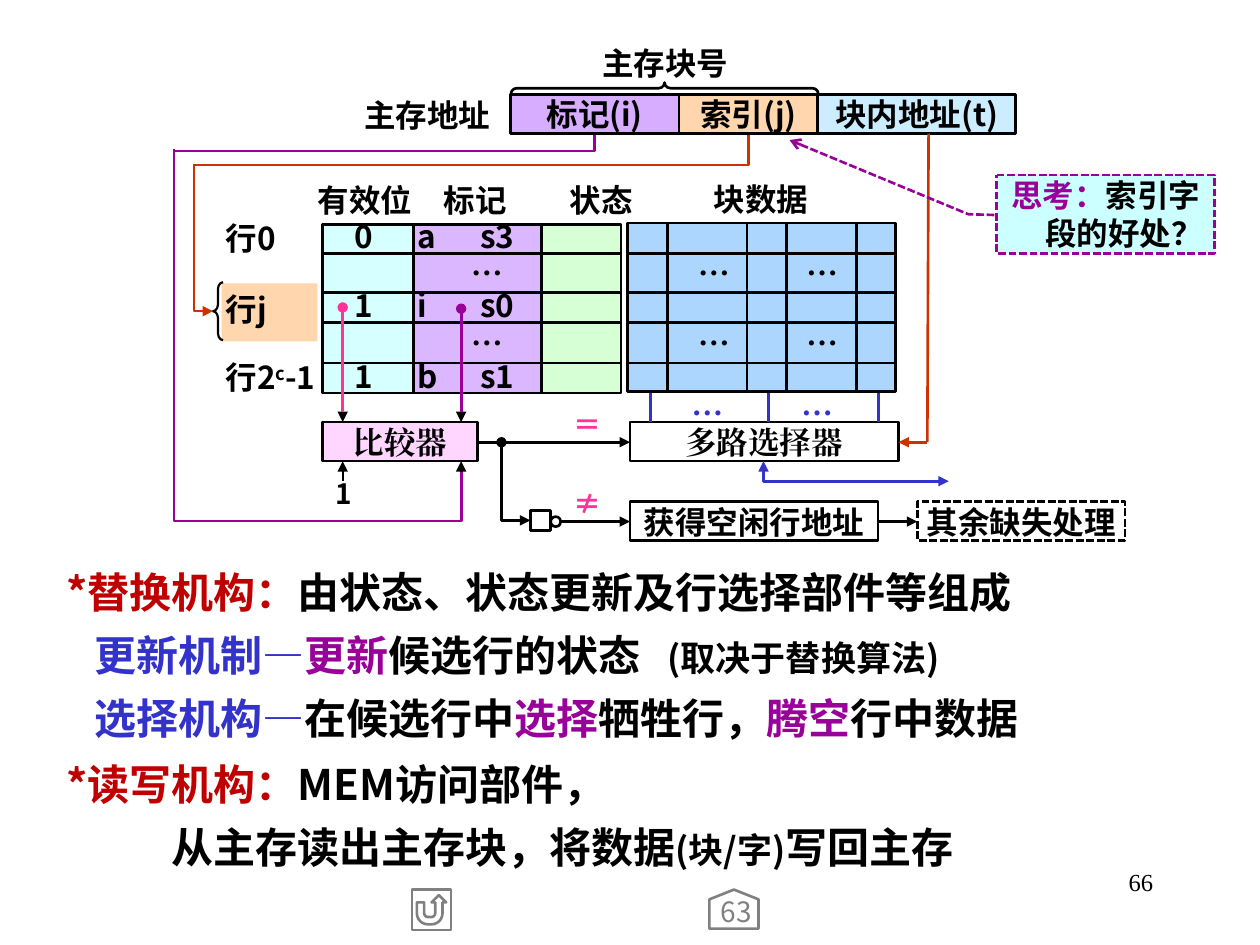
from lxml import etree
from pptx import Presentation
from pptx import util as u
from pptx.dml.color import RGBColor
from pptx.enum import dml, shapes, text
from pptx.oxml.ns import qn

BLACK = RGBColor(0x00, 0x00, 0x00)
GRAY = RGBColor(0x80, 0x80, 0x80)
PURPLE = RGBColor(0x99, 0x00, 0x99)
PINK = RGBColor(0xFF, 0x33, 0x99)
BLUE = RGBColor(0x33, 0x33, 0xCC)
ORANGE = RGBColor(0xCC, 0x33, 0x00)
RED = RGBColor(0xC0, 0x00, 0x00)
PEACH = RGBColor(0xFF, 0xCC, 0x99)
LILAC = RGBColor(0xCC, 0x99, 0xFF)
PALE_BLUE = RGBColor(0xCC, 0xEC, 0xFF)
CYAN = RGBColor(0xCC, 0xFF, 0xFF)
MINT = RGBColor(0xCC, 0xFF, 0xCC)
SKY = RGBColor(0x99, 0xCC, 0xFF)
ROSE = RGBColor(0xFF, 0xCC, 0xFF)

SANS, SERIF = "Noto Sans CJK SC", "Times New Roman"
TIGHT = (0.02, 0.01, 0.02, 0.01)
LEFT, CENTER, RIGHT = text.PP_ALIGN.LEFT, text.PP_ALIGN.CENTER, text.PP_ALIGN.RIGHT
TOP, MIDDLE = text.MSO_ANCHOR.TOP, text.MSO_ANCHOR.MIDDLE
SHAPE = shapes.MSO_SHAPE


def inch(value):
    return u.Cm(value * 2.54)


class Diagram:
    def __init__(self, page, font=SANS, size=18):
        self.page, self.font, self.size = page, font, size

    def stroke(self, item, color, width, head=None, tail=None, dashed=False):
        item.line.color.rgb = color
        item.line.width = u.Pt(width)
        if dashed:
            item.line.dash_style = dml.MSO_LINE.SQUARE_DOT
        line = item._element.spPr.find(qn("a:ln"))
        for tag, kind in (("a:headEnd", head), ("a:tailEnd", tail)):
            if kind:
                etree.SubElement(line, qn(tag)).set("type", kind)

    def put_text(self, box, paras, align=LEFT, anchor=MIDDLE, insets=TIGHT, spacing=None,
                 first=0, margin=0, tabs=()):
        """paras: lists of (text, overrides); first and tabs are in inches."""
        frame = box.text_frame
        frame.word_wrap = True
        frame.vertical_anchor = anchor
        (frame.margin_left, frame.margin_top,
         frame.margin_right, frame.margin_bottom) = map(inch, insets)
        for number, spans in enumerate(paras):
            para = frame.add_paragraph() if number else frame.paragraphs[0]
            para.alignment = align
            if spacing:
                para.line_spacing = spacing
            props = para._p.get_or_add_pPr()
            start = first[number] if isinstance(first, list) else first
            props.set("marL", str(inch(margin)))
            props.set("indent", str(inch(start)))
            if tabs:
                stops = etree.SubElement(props, qn("a:tabLst"))
                for stop in tabs:
                    etree.SubElement(stops, qn("a:tab"), pos=str(inch(stop)), algn="l")
            for words, style in spans:
                self.span(para, words, **style)

    def span(self, para, words, color=BLACK, size=None, font=None, bold=True, raised=False):
        span = para.add_run()
        span.text = words
        span.font.name = font or self.font
        span.font.size = u.Pt(size or self.size)
        span.font.bold = bold
        span.font.color.rgb = color
        props = span._r.get_or_add_rPr()
        etree.SubElement(props, qn("a:ea")).set("typeface", font or self.font)
        if raised:
            props.set("baseline", "30000")

    def label(self, at, words, align=LEFT, anchor=MIDDLE, spacing=None, tabs=(),
              insets=TIGHT, **style):
        self.block(at, [[(words, style)]], align=align, anchor=anchor,
                   spacing=spacing, tabs=tabs, insets=insets)

    def block(self, at, paras, **layout):
        self.put_text(self.page.shapes.add_textbox(*map(inch, at)), paras, **layout)

    def shape(self, kind, at, fill=None, alpha=None, line=BLACK, width=1.5, turn=0,
              adjust=(), words=None, font=None, anchor=MIDDLE, tail=None, dashed=False):
        item = self.page.shapes.add_shape(kind, *map(inch, at))
        item.shadow.inherit = False
        item.rotation = turn
        for index, value in enumerate(adjust):
            item.adjustments[index] = value
        if fill is None:
            item.fill.background()
        else:
            item.fill.solid()
            item.fill.fore_color.rgb = fill
            if alpha:
                tint = item._element.spPr.find(".//" + qn("a:srgbClr"))
                etree.SubElement(tint, qn("a:alpha")).set("val", str(alpha * 1000))
        if line is None:
            item.line.fill.background()
        else:
            self.stroke(item, line, width, tail=tail, dashed=dashed)
        if words:
            self.put_text(item, [[(words, {"font": font})]], align=CENTER, anchor=anchor)
        return item

    def line(self, x1, y1, x2, y2, color=BLACK, width=1.5, head=None, tail=None,
             kind=shapes.MSO_CONNECTOR.STRAIGHT):
        item = self.page.shapes.add_connector(kind, *map(inch, (x1, y1, x2, y2)))
        self.stroke(item, color, width, head, tail)
        etree.SubElement(item._element.spPr, qn("a:effectLst"))
        return item

    def elbow(self, x1, y1, x2, y2, color=BLACK, head=None, tail=None, overshoot=None):
        """A bent line that leaves its start downwards."""
        half_w, half_h = (y2 - y1) / 2, abs(x2 - x1) / 2
        mid_x, mid_y = (x1 + x2) / 2, (y1 + y2) / 2
        side = 1 if x2 < x1 else -1
        item = self.line(mid_x - side * half_w, mid_y - half_h,
                         mid_x + side * half_w, mid_y + half_h, color,
                         head=head, tail=tail, kind=shapes.MSO_CONNECTOR.ELBOW)
        props = item._element.spPr
        props.find(qn("a:xfrm")).set("rot", str((90 if side > 0 else 270) * 60000))
        geometry = props.find(qn("a:prstGeom"))
        if overshoot is None:
            geometry.set("prst", "bentConnector2")
        else:
            guides = geometry.find(qn("a:avLst"))
            etree.SubElement(guides, qn("a:gd"), name="adj1",
                             fmla=f"val {round(overshoot * 100000)}")


def draw_address(art):
    art.shape(SHAPE.RECTANGLE, (1.76, 2.25, 0.76, 0.46), PEACH, 80, line=None)
    for left, width, fill, alpha, words in (
            (6.49, 1.57, PALE_BLUE, None, "块内地址(t)"),
            (5.39, 1.1, PEACH, 80, "索引(j)"), (4.05, 1.34, LILAC, 80, "标记(i)")):
        art.shape(SHAPE.RECTANGLE, (left, 0.75, width, 0.31), fill, alpha, words=words)
    art.label((2.87, 0.75, 1.1, 0.32), "主存地址", anchor=TOP)
    art.label((4.69, 0.36, 1.18, 0.32), "主存块号", CENTER, spacing=0.85)
    art.shape(SHAPE.RIGHT_BRACE, (5.23, -0.52, 0.09, 2.44), turn=270, adjust=(0.52, 0.5))
    art.shape(SHAPE.LEFT_BRACE, (1.69, 2.24, 0.08, 0.46), width=1.25, adjust=(0.67, 0.5))
    art.elbow(5.94, 1.07, 1.54, 1.31, ORANGE)
    art.elbow(1.54, 1.3, 1.69, 2.47, ORANGE, tail="triangle")


def draw_cache(art):
    # Row labels and column heads
    art.label((1.77, 1.77, 0.79, 0.24), "行0")
    art.label((1.77, 2.33, 0.79, 0.24), "行j")
    art.block((1.77, 2.88, 0.79, 0.23),
              [[("行2", {}), ("c", {"raised": True}), ("-1", {})]])
    art.label((2.5, 1.46, 2.58, 0.25), "有效位\t标记\t状态", tabs=(0.87, 1.54))
    art.label((5.53, 1.46, 1.02, 0.24), "块数据", CENTER)
    # Tag array and data array
    for left, width, fill, alpha in ((4.3, 0.63, MINT, 80), (2.56, 0.72, CYAN, 80),
                                     (3.28, 1.02, LILAC, 70)):
        art.shape(SHAPE.RECTANGLE, (left, 1.78, width, 1.34), fill, alpha)
    art.shape(SHAPE.RECTANGLE, (4.98, 1.77, 2.13, 1.34), SKY, 80)
    for y in (2.01, 2.32, 2.56, 2.88):
        art.line(2.56, y, 4.92, y)
        art.line(4.98, y, 7.11, y)
    for x in (5.3, 5.93, 6.24, 6.8):
        art.line(x, 1.77, x, 3.11)
    # Contents
    for top, words, stop in ((1.77, "0\ta\ts3", 0.93), (2.32, "1\ti\ts0", 0.85),
                             (2.88, "1\tb\ts1", 0.93)):
        art.label((2.79, top, 2.01, 0.24), words, spacing=0.9, tabs=(0.54, stop))
    for x in (3.72, 5.52, 6.38):
        for y in (1.93, 2.48):
            art.label((x, y, 0.33, 0.31), "…", anchor=TOP, font=SERIF)


def draw_logic(art):
    # Comparator and its inputs
    art.shape(SHAPE.RECTANGLE, (2.56, 3.35, 1.23, 0.31), ROSE, 80, words="比较器", font=SERIF)
    for x, width in ((3.66, 1.75), (2.72, 1.25)):
        art.line(x, 3.19, x, 3.35, width=width, tail="triangle")
        art.line(x, 3.82, x, 3.66, width=width, tail="triangle")
    art.label((2.64, 3.82, 0.21, 0.23), "1", spacing=0.9, size=16)
    art.elbow(4.72, 1.07, 1.38, 1.2, PURPLE)
    art.elbow(1.38, 1.18, 3.66, 3.75, PURPLE, overshoot=1.15)
    art.line(3.66, 2.45, 3.66, 3.27, PURPLE, 1.75, head="oval")
    art.line(2.72, 2.44, 2.72, 3.27, PINK, head="oval")
    # Hit and miss outputs
    art.line(3.79, 3.51, 5, 3.51, tail="triangle")
    art.elbow(3.98, 3.51, 4.21, 4.13, head="oval", tail="triangle")
    art.shape(SHAPE.RECTANGLE, (4.21, 4.05, 0.16, 0.16))
    art.shape(SHAPE.OVAL, (4.37, 4.1, 0.08, 0.08))
    art.line(4.45, 4.14, 5, 4.14, tail="triangle")
    for top, sign in ((3.27, "＝"), (3.9, "≠")):
        art.label((4.53, top, 0.29, 0.23), sign, spacing=0.9, size=16, color=PINK)
    # Multiplexer
    art.shape(SHAPE.RECTANGLE, (5, 3.35, 2.13, 0.31), words="多路选择器", font=SERIF)
    for x in (5.16, 6.1, 6.97):
        art.line(x, 3.12, x, 3.35, BLUE, 1.75)
    for x in (5.47, 6.34):
        art.label((x, 3.04, 0.33, 0.31), "…", anchor=TOP, font=SERIF, color=BLUE)
    art.line(7.37, 1.06, 7.36, 3.51, ORANGE)
    art.line(7.36, 3.51, 7.13, 3.51, ORANGE, tail="triangle")
    art.elbow(6.06, 3.66, 7.53, 3.82, BLUE, head="triangle", tail="triangle")
    # Miss handling
    art.shape(SHAPE.RECTANGLE, (5, 3.98, 1.97, 0.31), words="获得空闲行地址", anchor=TOP)
    art.line(6.98, 4.14, 7.28, 4.14, tail="triangle")
    art.shape(SHAPE.RECTANGLE, (7.28, 3.98, 1.65, 0.31), words="其余缺失处理",
              anchor=TOP, dashed=True)


def draw_notes(art):
    red, blue, purple, black, small = (
        {"color": RED, "size": 24}, {"color": BLUE, "size": 24},
        {"color": PURPLE, "size": 24}, {"size": 24}, {"size": 20})
    layout = dict(anchor=TOP, insets=(0.1, 0.05, 0.1, 0.05), spacing=1.25)
    art.block((0.2, 4.35, 9.61, 1.62), [
        [("*替换机构：", red), ("由状态、状态更新及行选择部件等组成", black)],
        [("更新机制—", blue), ("更新", purple), ("候选行的状态\t", black),
         ("(取决于替换算法)", small)],
        [("选择机构—", blue), ("在候选行中", black), ("选择", purple),
         ("牺牲行，", black), ("腾空", purple), ("行中数据", black)],
    ], first=[0.23, 0.45, 0.45], tabs=(5.08,), **layout)
    art.block((0.2, 5.87, 9.61, 1.11), [
        [("*读写机构：", red), ("MEM访问部件，", black)],
        [("从主存读出主存块，将数据", black), ("(块/字)", small), ("写回主存", black)],
    ], first=[0.23, 1.06], **layout)


def draw_callout_and_footer(art):
    callout = art.shape(SHAPE.LINE_CALLOUT_2, (7.91, 1.39, 1.73, 0.62), CYAN, line=PURPLE,
                        adjust=(0.51, -0.01, 0.5, -0.13, -0.45, -0.95),
                        tail="arrow", dashed=True)
    art.put_text(callout, [[("思考：", {"color": PURPLE}), ("索引字段的好处？", {})]],
                 align=CENTER, margin=0.29, first=-0.29)
    art.label((7.17, 6.83, 2.08, 0.5), "66", RIGHT, TOP, insets=(0.1, 0.05, 0.1, 0.05),
              font=SERIF, size=14, bold=False)
    art.shape(SHAPE.ACTION_BUTTON_RETURN, (3.27, 7.06, 0.31, 0.32), line=GRAY)
    art.shape(SHAPE.PENTAGON, (5.67, 7.02, 0.31, 0.39), line=GRAY, turn=270, adjust=(0.25,))
    art.label((5.67, 7.14, 0.31, 0.24), "63", CENTER, TOP, 0.85, insets=(0.04, 0, 0, 0),
              size=16, color=GRAY, bold=False)


def main():
    deck = Presentation()
    deck.slide_width, deck.slide_height = u.Cm(25.4), u.Cm(19.05)
    art = Diagram(deck.slides.add_slide(deck.slide_layouts[6]))
    for draw in (draw_address, draw_cache, draw_logic, draw_notes, draw_callout_and_footer):
        draw(art)
    deck.save("out.pptx")


if __name__ == "__main__":
    main()
